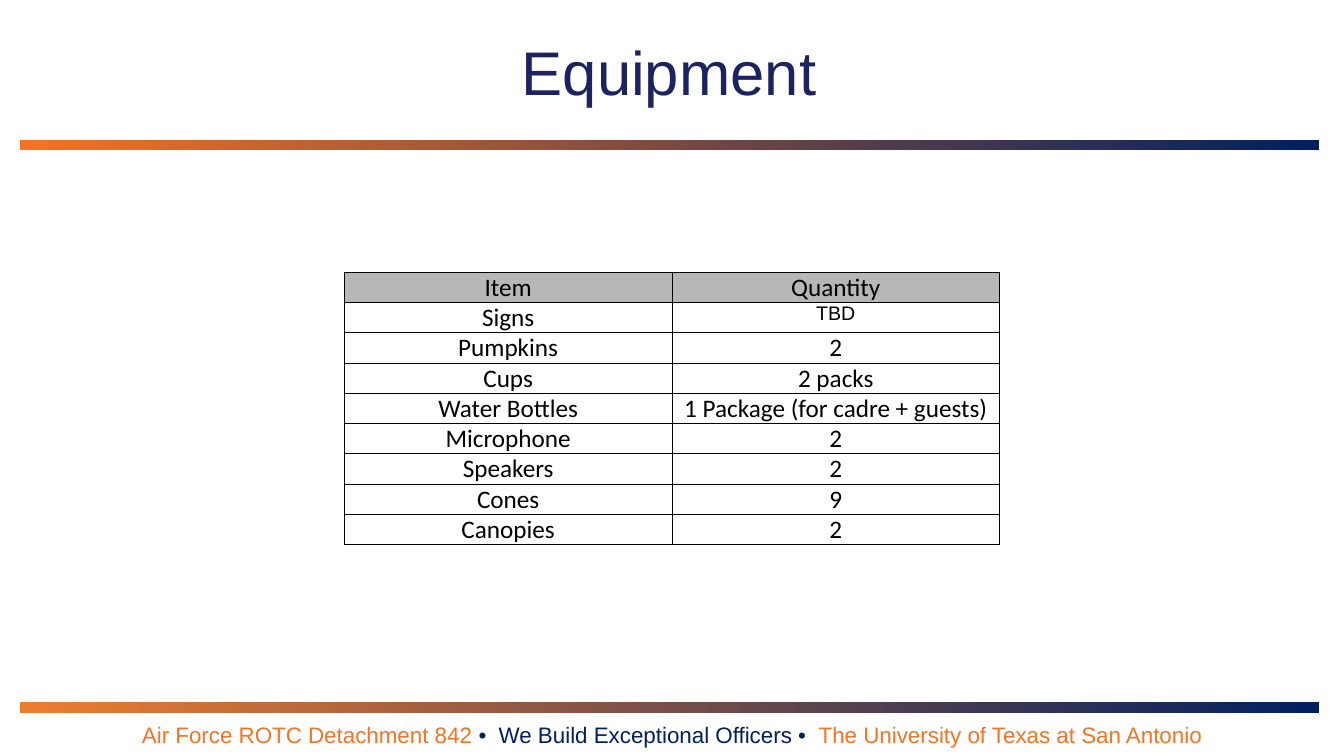
from lxml.etree import SubElement
from pptx import Presentation
from pptx.dml.color import RGBColor
from pptx.enum.shapes import MSO_SHAPE
from pptx.enum.text import MSO_ANCHOR, PP_ALIGN
from pptx.oxml.ns import qn
from pptx.util import Pt

ORANGE = RGBColor(0xF5, 0x73, 0x22)
SOFT_ORANGE = RGBColor(0xED, 0x7D, 0x31)
NAVY = RGBColor(0x00, 0x20, 0x60)
TITLE_BLUE = RGBColor(0x1D, 0x22, 0x60)
GRAY = RGBColor(0xB7, 0xB7, 0xB7)
BLACK = RGBColor(0x00, 0x00, 0x00)

TITLE = [("Equipment", TITLE_BLUE)]
FOOTER = [
    ("Air Force ROTC Detachment 842 ", ORANGE),
    ("•  We Build Exceptional Officers •  ", NAVY),
    ("The University of Texas at San Antonio", ORANGE),
]
EQUIPMENT = [
    ("Item", "Quantity"),
    ("Signs", "TBD"),
    ("Pumpkins", "2"),
    ("Cups", "2 packs"),
    ("Water Bottles", "1 Package (for cadre + guests)"),
    ("Microphone", "2"),
    ("Speakers", "2"),
    ("Cones", "9"),
    ("Canopies", "2"),
]
BARS = [(100.1, ORANGE), (501.8, SOFT_ORANGE)]  # top, start colour

SLIDE_WIDTH, SLIDE_HEIGHT = 960, 540
BAR_LEFT, BAR_WIDTH, BAR_HEIGHT = 14.4, 928, 7.2
TABLE_LEFT, TABLE_TOP = 246, 194.4
COLUMN_WIDTH, ROW_HEIGHT = 234, 21.6
BORDER_WIDTH = 0.75

CELL_FORMAT = {"name": "Calibri", "size": Pt(18)}
PENDING_FORMAT = {"name": "Arial", "size": Pt(14)}
TITLE_FORMAT = {"name": "Arial", "size": Pt(44)}
FOOTER_FORMAT = {"name": "Arial", "size": Pt(16)}
CELL_MARGINS = {
    "margin_left": Pt(5), "margin_right": Pt(5),
    "margin_top": Pt(0), "margin_bottom": Pt(0),
}


def set_values(target, values):
    for name, value in values.items():
        setattr(target, name, value)


def write_centred(text_frame, runs, font_format):
    paragraph = text_frame.paragraphs[0]
    paragraph.alignment = PP_ALIGN.CENTER
    for text, color in runs:
        run = paragraph.add_run()
        run.text = text
        set_values(run.font, font_format)
        run.font.color.rgb = color


def add_text(slide, box, runs, font_format, anchor):
    shape = slide.shapes.add_textbox(*map(Pt, box))
    set_values(shape.text_frame, {"word_wrap": True, "vertical_anchor": anchor})
    write_centred(shape.text_frame, runs, font_format)


def add_bar(slide, top, start_color):
    box = (BAR_LEFT, top, BAR_WIDTH, BAR_HEIGHT)
    bar = slide.shapes.add_shape(MSO_SHAPE.RECTANGLE, *map(Pt, box))
    bar.shadow.inherit = False
    bar.line.fill.background()
    bar.fill.gradient()
    bar.fill.gradient_angle = 0
    for stop, color in zip(bar.fill.gradient_stops, (start_color, NAVY)):
        stop.color.rgb = color


def add_borders(cell):
    """Draw all four sides; borders must precede the cell's fill in the XML."""
    properties = cell._tc.get_or_add_tcPr()
    for side in ("a:lnL", "a:lnR", "a:lnT", "a:lnB"):
        line = SubElement(properties, qn(side), w=str(Pt(BORDER_WIDTH)))
        fill = SubElement(line, qn("a:solidFill"))
        SubElement(fill, qn("a:srgbClr"), val=str(BLACK))


def add_equipment_table(slide):
    row_count, column_count = len(EQUIPMENT), len(EQUIPMENT[0])
    box = (TABLE_LEFT, TABLE_TOP, column_count * COLUMN_WIDTH, row_count * ROW_HEIGHT)
    table = slide.shapes.add_table(row_count, column_count, *map(Pt, box)).table
    set_values(table, {"first_row": False, "horz_banding": False})
    for row_index, row in enumerate(EQUIPMENT):
        for column_index, text in enumerate(row):
            cell = table.cell(row_index, column_index)
            set_values(cell, CELL_MARGINS)
            add_borders(cell)
            if row_index == 0:
                cell.fill.solid()
                cell.fill.fore_color.rgb = GRAY
            else:
                cell.fill.background()
            font_format = PENDING_FORMAT if text == "TBD" else CELL_FORMAT
            write_centred(cell.text_frame, [(text, BLACK)], font_format)


def main():
    presentation = Presentation()
    set_values(presentation, {"slide_width": Pt(SLIDE_WIDTH), "slide_height": Pt(SLIDE_HEIGHT)})
    slide = presentation.slides.add_slide(presentation.slide_layouts[6])
    for top, start_color in BARS:
        add_bar(slide, top, start_color)
    add_text(slide, (181.4, 20.9, 593.3, 60.5), TITLE, TITLE_FORMAT, MSO_ANCHOR.TOP)
    add_text(slide, (0, 511.2, SLIDE_WIDTH, 26.6), FOOTER, FOOTER_FORMAT, MSO_ANCHOR.BOTTOM)
    add_equipment_table(slide)
    presentation.save("out.pptx")


if __name__ == "__main__":
    main()
